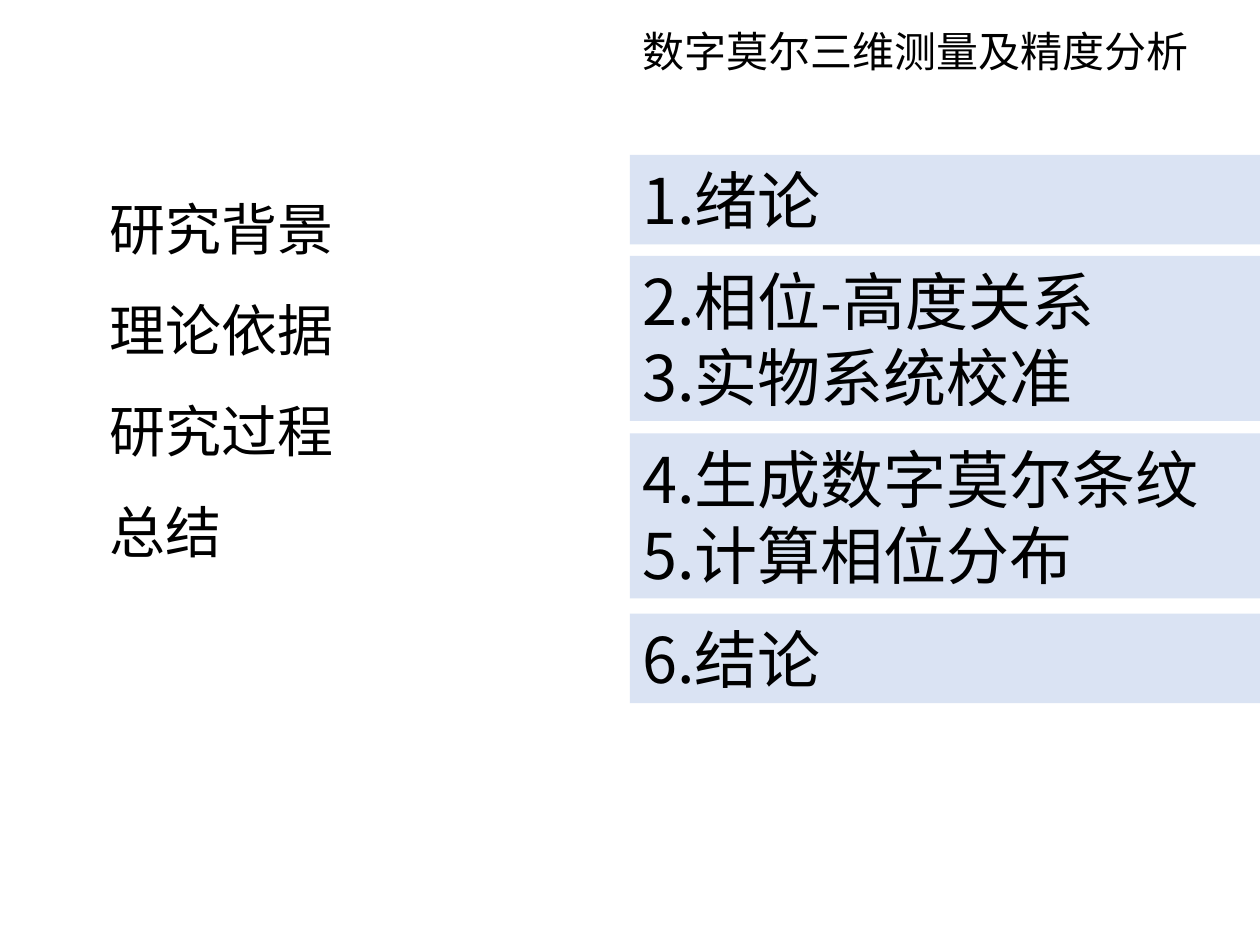
from lxml.etree import SubElement
from pptx import Presentation
from pptx.dml.color import RGBColor
from pptx.enum.shapes import MSO_SHAPE
from pptx.enum.text import MSO_ANCHOR, PP_ALIGN
from pptx.oxml.ns import qn
from pptx.util import Inches, Pt

FONT = "Noto Sans CJK SC"


def color(code):
    return RGBColor.from_string(code)


class Deck:
    ink = "000000"
    band = "DAE3F3"

    def __init__(self, slide):
        self.slide = slide

    def label(self, shape, lines, size, listed=False):
        """Fill a shape with one paragraph per line."""
        frame = shape.text_frame
        frame.text = "\n".join(lines)
        frame.word_wrap = True
        for para in frame.paragraphs:
            para.alignment = PP_ALIGN.LEFT
            if listed:
                self.number(para)
            for run in para.runs:
                font = run.font
                font.size = Pt(size)
                font.name = FONT
                font.color.rgb = color(self.ink)
                SubElement(font._element, qn("a:ea")).set("typeface", FONT)

    def number(self, para):
        """Give a paragraph a hanging East Asian number."""
        para.line_spacing = 1.5
        props = para._p.get_or_add_pPr()
        props.set("marL", str(Inches(1)))
        props.set("indent", str(Inches(-1)))
        mark = SubElement(props, qn("a:buAutoNum"))
        mark.set("type", "ea1JpnChsDbPeriod")

    def text(self, place, lines, size, listed=False):
        box = self.slide.shapes.add_textbox(*map(Inches, place))
        self.label(box, lines, size, listed)

    def block(self, place, lines, size):
        shape = self.slide.shapes.add_shape(
            MSO_SHAPE.RECTANGLE, *map(Inches, place))
        shape.shadow.inherit = False
        shape.fill.solid()
        shape.fill.fore_color.rgb = color(self.band)
        shape.line.fill.background()
        shape.text_frame.vertical_anchor = MSO_ANCHOR.MIDDLE
        self.label(shape, lines, size)


def main():
    show = Presentation()
    show.slide_width, show.slide_height = Inches(10), Inches(7.5)
    deck = Deck(show.slides.add_slide(show.slide_layouts[6]))

    deck.text((5, 0.15, 4.58, 0.5), ["数字莫尔三维测量及精度分析"], 24)
    parts = ["研究背景", "理论依据", "研究过程", "总结"]
    deck.text((0.77, 1.23, 3.02, 3.85), parts, 32, listed=True)

    blocks = [
        (1.23, ["1.绪论"]),
        (2.03, ["2.相位-高度关系", "3.实物系统校准"]),
        (3.44, ["4.生成数字莫尔条纹", "5.计算相位分布"]),
        (4.87, ["6.结论"]),
    ]
    for top, lines in blocks:
        height = 0.11 + 0.6 * len(lines)
        deck.block((5, top, 5, height), lines, 36)

    show.save("out.pptx")


if __name__ == "__main__":
    main()
